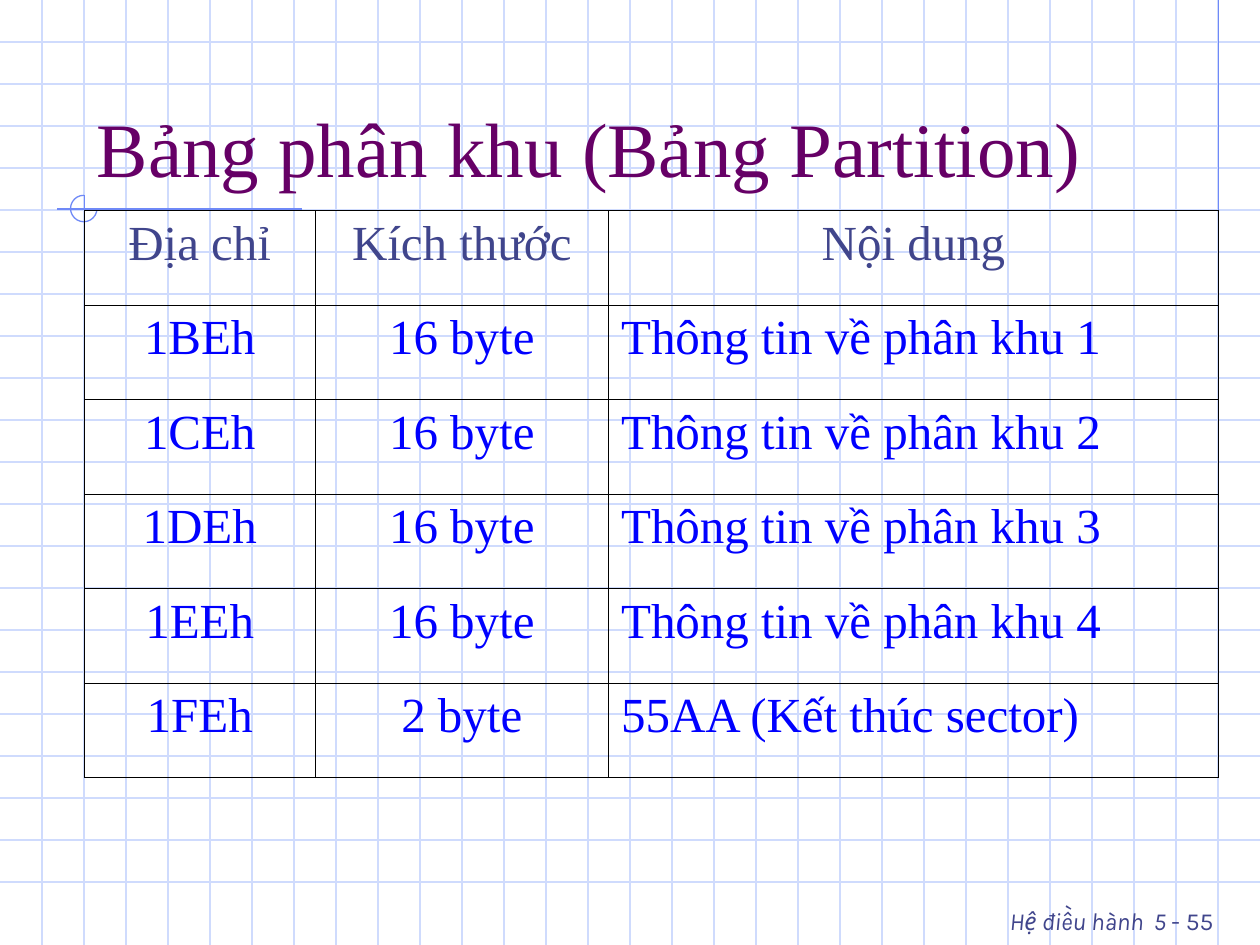
from lxml.etree import SubElement
from pptx import Presentation
from pptx.dml.color import RGBColor
from pptx.enum.shapes import MSO_CONNECTOR, MSO_SHAPE
from pptx.enum.text import MSO_ANCHOR, PP_ALIGN
from pptx.oxml import parse_xml
from pptx.oxml.ns import nsdecls, qn
from pptx.util import Inches, Pt

WIDTH, HEIGHT = 10, 7.5
GRID_STEP = 1 / 3
GRID_COLOR, ACCENT, SLATE = "CFDBFD", "6F89F7", "40458C"
PURPLE, BLUE, BLACK = "660066", "0000FF", "000000"
SERIF, SANS = "Times New Roman", "Karla"

COLUMN_WIDTHS = [1.83, 2.33, 4.84]
ROW_HEIGHT = 0.75
PARTITION_ROWS = [
    ("Địa chỉ", "Kích thước", "Nội dung"),
    ("1BEh", "16 byte", "Thông tin về phân khu 1"),
    ("1CEh", "16 byte", "Thông tin về phân khu 2"),
    ("1DEh", "16 byte", "Thông tin về phân khu 3"),
    ("1EEh", "16 byte", "Thông tin về phân khu 4"),
    ("1FEh", "2 byte", "55AA (Kết thúc sector)"),
]


def rgb(color):
    return RGBColor.from_string(color)


def format_run(run, font, size, color, italic=False):
    run.font.name = font
    run.font.size = Pt(size)
    run.font.color.rgb = rgb(color)
    run.font.italic = italic


def add_line(slide, x1, y1, x2, y2, color):
    line = slide.shapes.add_connector(
        MSO_CONNECTOR.STRAIGHT, Inches(x1), Inches(y1), Inches(x2), Inches(y2))
    line.line.color.rgb = rgb(color)
    line.line.width = Pt(0.75)
    SubElement(line._element.spPr, qn("a:effectLst"))


def add_grid(slide):
    for i in range(1, round(HEIGHT / GRID_STEP)):
        add_line(slide, 0, i * GRID_STEP, WIDTH, i * GRID_STEP, GRID_COLOR)
    for i in range(1, round(WIDTH / GRID_STEP)):
        add_line(slide, i * GRID_STEP, 0, i * GRID_STEP, HEIGHT, GRID_COLOR)


def add_accents(slide):
    add_line(slide, 9.67, 0, 9.67, 2.58, ACCENT)
    add_line(slide, 2.4, 1.66, 0.45, 1.66, ACCENT)
    add_line(slide, 0.67, 1.55, 0.67, 4.09, ACCENT)
    arc = slide.shapes.add_shape(
        MSO_SHAPE.ARC, Inches(0.56), Inches(1.55), Inches(0.21), Inches(0.21))
    arc.shadow.inherit = False
    arc.adjustments[0] = 0
    arc.adjustments[1] = 162  # 270 degrees: three quarters, from right to top
    arc.fill.background()
    arc.line.color.rgb = rgb(ACCENT)
    arc.line.width = Pt(0.75)


def add_text_box(slide, left, top, width, height):
    text_frame = slide.shapes.add_textbox(
        Inches(left), Inches(top), Inches(width), Inches(height)).text_frame
    text_frame.word_wrap = True
    return text_frame


def add_title(slide):
    text_frame = add_text_box(slide, 0.67, 0.33, 8.5, 1.25)
    text_frame.vertical_anchor = MSO_ANCHOR.BOTTOM
    text_frame.text = "Bảng phân khu (Bảng Partition)"
    format_run(text_frame.paragraphs[0].runs[0], SERIF, 44, PURPLE)


def add_footer(slide):
    paragraph = add_text_box(slide, 6.83, 7, 2.9, 0.5).paragraphs[0]
    paragraph.alignment = PP_ALIGN.RIGHT
    for text, size, italic in [("Hệ điều hành", 14, True), (" ", 24, False),
                               ("5 ", 14, True), ("- 55", 14, False)]:
        run = paragraph.add_run()
        run.text = text
        format_run(run, SANS, size, SLATE, italic)


def set_borders(cell, color, width):
    properties = cell._tc.get_or_add_tcPr()
    for position, side in enumerate(("lnL", "lnR", "lnT", "lnB")):
        properties.insert(position, parse_xml(
            f'<a:{side} {nsdecls("a")} w="{Pt(width)}"><a:solidFill>'
            f'<a:srgbClr val="{color}"/></a:solidFill></a:{side}>'))


def fill_cell(cell, text, color, alignment):
    cell.text_frame.text = text
    paragraph = cell.text_frame.paragraphs[0]
    paragraph.alignment = alignment
    hanging = Inches(0.38)
    properties = paragraph._p.get_or_add_pPr()
    properties.set("marL", str(hanging))
    properties.set("indent", str(-hanging))
    format_run(paragraph.runs[0], SERIF, 28, color)
    cell.fill.background()
    set_borders(cell, BLACK, 0.45)


def add_partition_table(slide):
    table = slide.shapes.add_table(
        len(PARTITION_ROWS), len(COLUMN_WIDTHS), Inches(0.67), Inches(1.67),
        Inches(sum(COLUMN_WIDTHS)),
        Inches(ROW_HEIGHT * len(PARTITION_ROWS))).table
    table.first_row = False
    table.horz_banding = False
    for column, width in zip(table.columns, COLUMN_WIDTHS):
        column.width = Inches(width)
    for i, row in enumerate(PARTITION_ROWS):
        for j, text in enumerate(row):
            is_description = i > 0 and j == 2
            fill_cell(table.cell(i, j), text, BLUE if i else SLATE,
                      PP_ALIGN.JUSTIFY if is_description else PP_ALIGN.CENTER)


def main():
    presentation = Presentation()
    presentation.slide_width = Inches(WIDTH)
    presentation.slide_height = Inches(HEIGHT)
    slide = presentation.slides.add_slide(presentation.slide_layouts[6])
    slide.background.fill.solid()
    slide.background.fill.fore_color.rgb = rgb("FFFFFF")
    add_grid(slide)
    add_accents(slide)
    add_footer(slide)
    add_title(slide)
    add_partition_table(slide)
    presentation.save("out.pptx")


if __name__ == "__main__":
    main()
